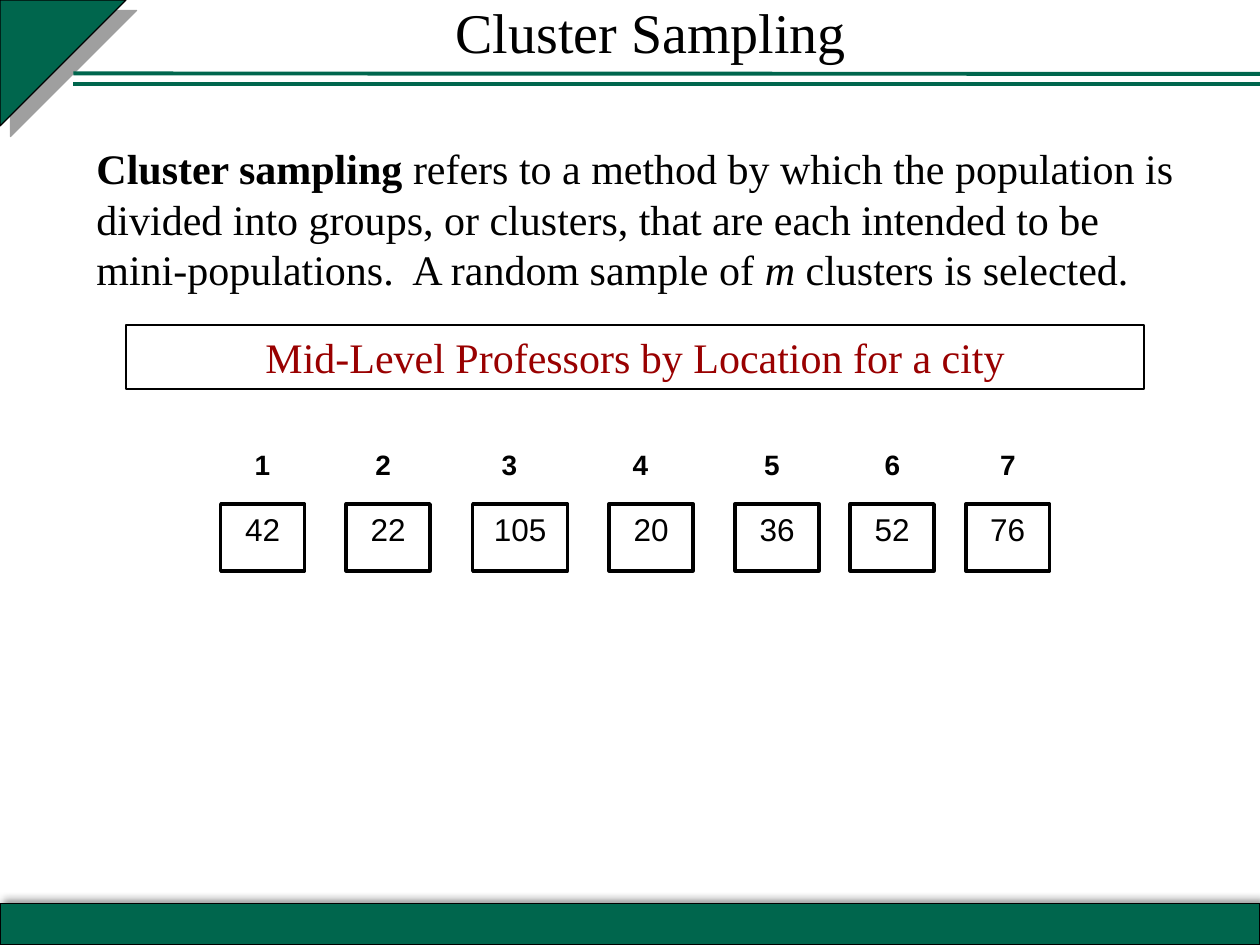
from dataclasses import dataclass

from lxml import etree
from pptx import Presentation
from pptx.dml.color import RGBColor
from pptx.enum.shapes import MSO_CONNECTOR, MSO_SHAPE
from pptx.enum.text import MSO_ANCHOR, MSO_AUTO_SIZE, PP_ALIGN
from pptx.oxml.ns import qn
from pptx.util import Cm, Pt

RECT, TRIANGLE = MSO_SHAPE.RECTANGLE, MSO_SHAPE.RIGHT_TRIANGLE
STRAIGHT = MSO_CONNECTOR.STRAIGHT
LEFT, CENTER = PP_ALIGN.LEFT, PP_ALIGN.CENTER
TOP, MIDDLE = MSO_ANCHOR.TOP, MSO_ANCHOR.MIDDLE
NO_FIT = MSO_AUTO_SIZE.NONE


@dataclass(frozen=True)
class Theme:
    green: str = "00664D"
    black: str = "000000"
    red: str = "990000"
    grey: str = "808080"
    serif: str = "Times New Roman"
    sans: str = "Arial"
    title: int = 32
    body: int = 24
    count: int = 18
    label: int = 16


def write_text(sp, runs, font, size, color, align=CENTER, anchor=TOP):
    tf = sp.text_frame
    tf.word_wrap = True
    tf.auto_size = NO_FIT
    tf.vertical_anchor = anchor
    p = tf.paragraphs[0]
    p.alignment = align
    p.space_before = Pt(0)
    for text, bold, italic in runs:
        r = p.add_run()
        r.text = text
        r.font.name = font
        r.font.size = Pt(size)
        r.font.bold = bold
        r.font.italic = italic
        r.font.color.rgb = RGBColor.from_string(color)


def plain(text, bold=False):
    return [(text, bold, False)]


class Deck:
    def __init__(self, theme):
        self.theme = theme
        self.prs = Presentation()
        self.prs.slide_width, self.prs.slide_height = Cm(25.4), Cm(19.05)
        self.slide = self.prs.slides.add_slide(self.prs.slide_layouts[0])

    def placeholder(self, index, box, runs, **fmt):
        sp = self.slide.placeholders[index]
        sp.left, sp.top, sp.width, sp.height = map(Cm, box)
        write_text(sp, runs, **fmt)

    def shape(self, kind, box, weight, fill=None):
        sp = self.slide.shapes.add_shape(kind, *map(Cm, box))
        sp.shadow.inherit = False
        sp.line.color.rgb = RGBColor.from_string(self.theme.black)
        sp.line.width = Pt(weight)
        if fill:
            sp.fill.solid()
            sp.fill.fore_color.rgb = RGBColor.from_string(fill)
        else:
            sp.fill.background()
        return sp

    def label(self, box, runs, **fmt):
        write_text(self.slide.shapes.add_textbox(*map(Cm, box)), runs, **fmt)

    def line(self, x1, y1, x2, y2, color, weight):
        ln = self.slide.shapes.add_connector(STRAIGHT, *map(Cm, (x1, y1, x2, y2)))
        ln.line.color.rgb = RGBColor.from_string(color)
        ln.line.width = Pt(weight)
        etree.SubElement(ln._element.spPr, qn("a:effectLst"))

    def cast_shadow(self, sp, color, alpha, blur, dist, angle):
        effects = sp._element.spPr.find(qn("a:effectLst"))
        shadow = etree.SubElement(
            effects, qn("a:outerShdw"), blurRad=str(Pt(blur)), dist=str(Pt(dist)),
            dir=str(angle * 60000), algn="ctr", rotWithShape="0")
        clr = etree.SubElement(shadow, qn("a:srgbClr"), val=color)
        etree.SubElement(clr, qn("a:alpha"), val=str(alpha * 1000))


def main():
    t = Theme()
    deck = Deck(t)

    footer = deck.shape(RECT, (0, 18.21, 25.4, 0.84), 0.75, t.green)
    deck.cast_shadow(footer, t.black, 40, 4, 3, 315)
    corner = deck.shape(TRIANGLE, (0, 0, 2.54, 2.54), 0.75, t.green)
    corner.rotation = 90
    deck.cast_shadow(corner, t.grey, 75, 0, 8.5, 45)
    for y1, y2 in ((1.7, 1.7), (1.48, 1.49)):
        deck.line(1.48, y1, 25.4, y2, t.green, 2.25)

    deck.placeholder(0, (2.33, 0, 21.59, 1.27), plain("Cluster Sampling"),
                     font=t.serif, size=t.title, color=t.black, anchor=MIDDLE)
    definition = [
        ("Cluster sampling ", True, False),
        ("refers to a method by which the population is divided into groups, "
         "or clusters, that are each intended to be mini-populations.  "
         "A random sample of ", False, False),
        ("m", False, True),
        (" clusters is selected.", False, False),
    ]
    deck.placeholder(1, (1.69, 2.75, 22.66, 3.81), definition,
                     font=t.serif, size=t.body, color=t.black, align=LEFT)

    banner = deck.shape(RECT, (2.54, 6.56, 20.53, 1.29), 1)
    write_text(banner, plain("Mid-Level Professors by Location for a city"),
               font=t.serif, size=t.body, color=t.red)

    clusters = [
        (42, 4.45, 1.69, 4.02, 2.54),
        (22, 6.98, 1.69, 6.35, 2.75),
        (105, 9.53, 1.91, 8.68, 3.18),
        (20, 12.28, 1.69, 11.64, 2.54),
        (36, 14.82, 1.69, 13.97, 3.18),
        (52, 17.14, 1.69, 16.72, 2.54),
        (76, 19.47, 1.69, 19.05, 2.54),
    ]
    for number, (count, x, width, label_x, label_width) in enumerate(clusters, 1):
        box = deck.shape(RECT, (x, 10.16, width, 1.35), 2)
        write_text(box, plain(str(count)), font=t.sans, size=t.count, color=t.black)
        deck.label((label_x, 8.89, label_width, 0.94), plain(str(number), bold=True),
                   font=t.sans, size=t.label, color=t.black)

    deck.prs.save("out.pptx")


if __name__ == "__main__":
    main()
